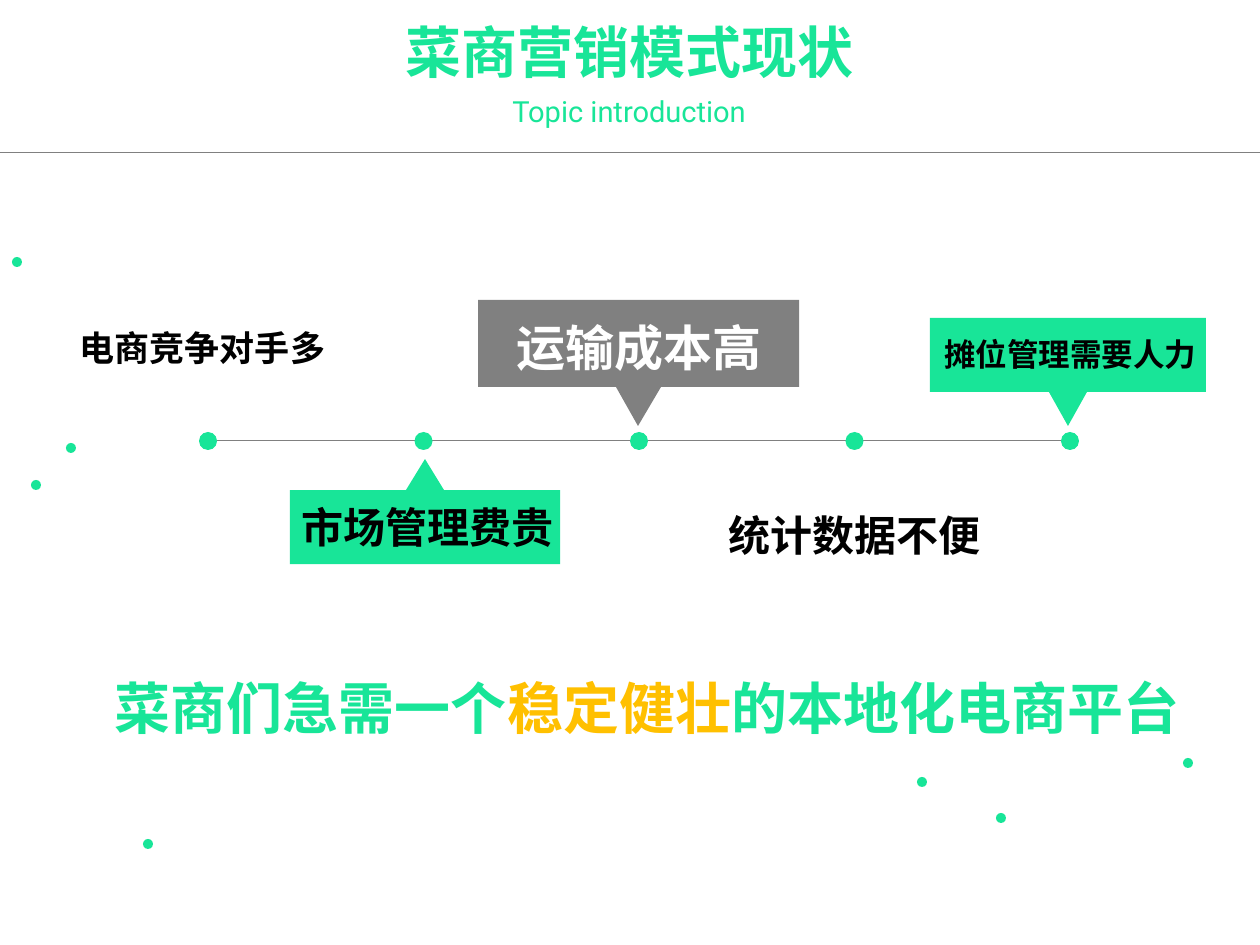
from lxml.etree import SubElement
from pptx import Presentation
from pptx.dml.color import RGBColor
from pptx.enum.shapes import MSO_CONNECTOR, MSO_SHAPE
from pptx.enum.text import MSO_ANCHOR, MSO_AUTO_SIZE, PP_ALIGN
from pptx.oxml.ns import qn
from pptx.util import Emu, Pt

PX = 914400 / 126
COLORS = {
    "green": "18E598",
    "gray": "808080",
    "amber": "FFC000",
    "white": "FFFFFF",
    "black": "000000",
}
LATIN, CJK = "Roboto", "Noto Sans CJK SC"


def px(length):
    return Emu(round(length * PX))


def rgb(name):
    return RGBColor.from_string(COLORS[name])


def write(frame, runs, size, font=LATIN, bold=True, spacing=0.9, before=0,
          anchor=MSO_ANCHOR.MIDDLE, inset=(0, 0)):
    frame.word_wrap = True
    frame.auto_size = MSO_AUTO_SIZE.NONE
    frame.vertical_anchor = anchor
    frame.margin_left = frame.margin_right = px(inset[0])
    frame.margin_top = frame.margin_bottom = px(inset[1])
    paragraph = frame.paragraphs[0]
    paragraph.alignment = PP_ALIGN.CENTER
    paragraph.line_spacing = spacing
    paragraph.space_before = Pt(before)
    for text, color in runs:
        run = paragraph.add_run()
        run.text = text
        run.font.size = Pt(size)
        run.font.bold = bold
        run.font.name = font
        run.font.color.rgb = rgb(color)
        SubElement(run.font._element, qn("a:ea"), typeface=CJK)


class Page:
    def __init__(self, deck):
        self.slide = deck.slides.add_slide(deck.slide_layouts[0])
        self.shapes = self.slide.shapes

    def placeholder(self, index, box, runs, size, **style):
        holder = self.slide.placeholders[index]
        holder.left, holder.top, holder.width, holder.height = map(px, box)
        write(holder.text_frame, runs, size, **style)

    def text(self, box, runs, size, **style):
        label = self.shapes.add_textbox(*map(px, box))
        write(label.text_frame, runs, size, **style)

    def paint(self, shape, color):
        shape.shadow.inherit = False
        shape.fill.solid()
        shape.fill.fore_color.rgb = rgb(color)
        shape.line.fill.background()

    def dot(self, left, top, size):
        circle = self.shapes.add_shape(
            MSO_SHAPE.OVAL, px(left), px(top), px(size), px(size))
        self.paint(circle, "green")

    def rule(self, start, end, y):
        line = self.shapes.add_connector(
            MSO_CONNECTOR.STRAIGHT, px(start), px(y), px(end), px(y))
        line.line.color.rgb = rgb("gray")
        line.line.width = Pt(0.5)
        SubElement(line._element.spPr, qn("a:effectLst"))

    def callout(self, left, right, far, base, tip, color):
        center = (left + right) / 2
        half = (right - left) * 0.07
        outline = self.shapes.build_freeform(left, far, scale=PX)
        outline.add_line_segments([
            (right, far), (right, base), (center + half, base),
            (center, tip), (center - half, base), (left, base)])
        self.paint(outline.convert_to_shape(), color)


def main():
    deck = Presentation()
    deck.slide_width, deck.slide_height = px(1260), px(945)
    page = Page(deck)

    page.placeholder(0, (252, 18, 756, 74), [("菜商营销模式现状", "green")], 32,
                     font=CJK, before=7.5)
    page.placeholder(1, (360, 93, 538, 42), [("Topic introduction", "green")],
                     16.6, bold=False, spacing=0.8, before=7.5)
    page.rule(0, 1260, 152)

    scattered = [(12, 257), (66, 443), (31, 480), (143, 839),
                 (1183, 758), (996, 813), (917, 777)]
    for left, top in scattered:
        page.dot(left, top, 10)

    page.rule(207, 1070, 440)
    for step in range(5):
        page.dot(199 + step * 215.5, 432, 18)

    page.callout(478, 799, 300, 387, 426, "gray")
    page.callout(930, 1206, 318, 392, 426, "green")
    page.callout(290, 560, 564, 490, 459, "green")

    problems = [
        ("电商竞争对手多", (64, 331, 277, 38), 20, "black"),
        ("运输成本高", (484, 324, 310, 53), 28, "white"),
        ("摊位管理需要人力", (937, 339, 267, 34), 18, "black"),
        ("市场管理费贵", (297, 507, 261, 45), 24, "black"),
        ("统计数据不便", (702, 515, 305, 45), 24, "black"),
    ]
    for problem, box, size, color in problems:
        page.text(box, [(problem, color)], size)

    page.text((102, 675, 1091, 126),
              [("菜商们急需一个", "green"), ("稳定健壮", "amber"),
               ("的本地化电商平台", "green")],
              32, before=7.5, anchor=MSO_ANCHOR.TOP, inset=(12, 6))

    deck.save("out.pptx")


if __name__ == "__main__":
    main()
